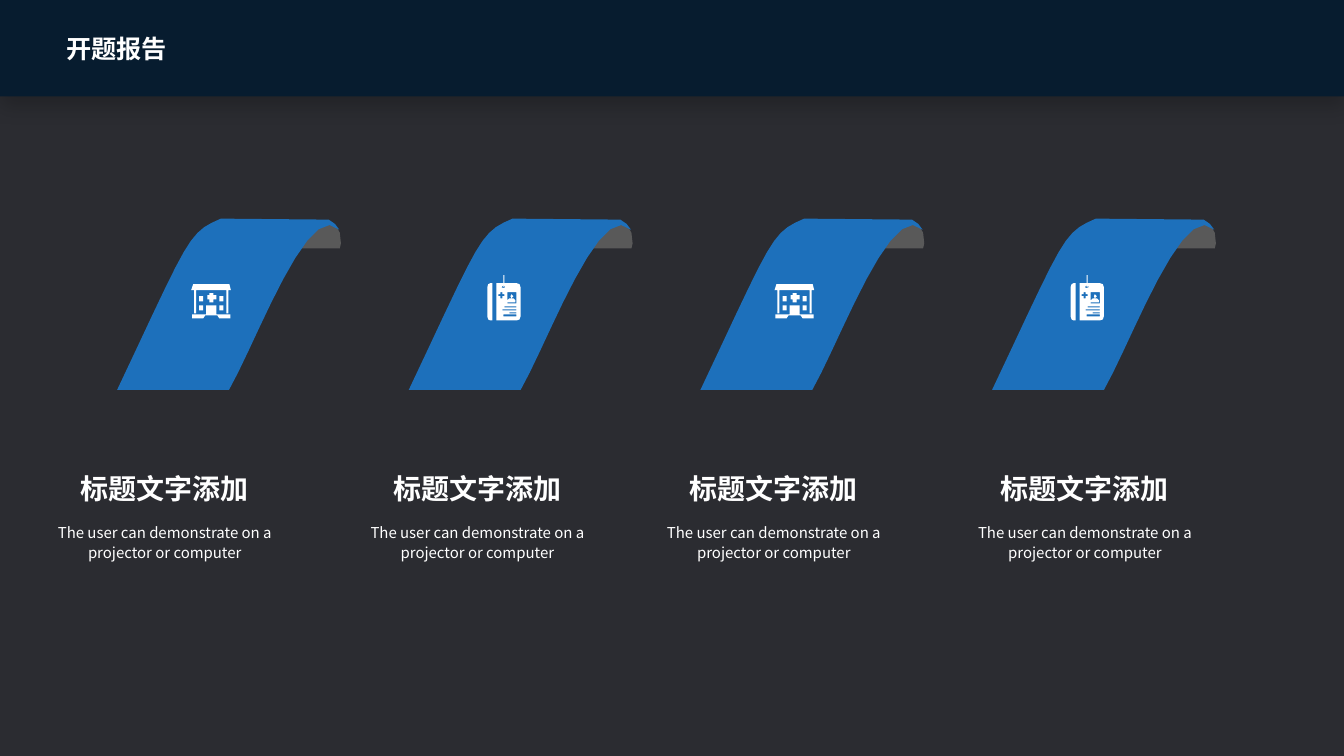
from dataclasses import dataclass
from math import dist

from lxml.etree import SubElement
from pptx import Presentation
from pptx.dml.color import RGBColor
from pptx.enum.shapes import MSO_SHAPE as Preset
from pptx.enum.text import MSO_AUTO_SIZE as AutoSize, PP_ALIGN as Align
from pptx.oxml.ns import qn
from pptx.util import Cm, Pt

Step = tuple[float, ...]  # two numbers: a straight line; six: a Bezier curve
Contour = list[Step]      # the first step is the starting point


@dataclass(frozen=True)
class Theme:
    font: str = "Noto Sans CJK SC"
    back: str = "2B2C31"
    header: str = "071C2F"
    ribbon: str = "1D70BB"
    fold: str = "595959"
    light: str = "FFFFFF"
    title: float = 18
    heading: float = 20
    body: float = 10.7


@dataclass(frozen=True)
class Icon:
    dx: float
    dy: float
    contours: list[Contour]


@dataclass(frozen=True)
class Column:
    text_left: float
    icon: Icon
    heading: str = "标题文字添加"
    body: str = "The user can demonstrate on a projector or computer"


@dataclass(frozen=True)
class Label:
    left: float
    top: float
    width: float
    height: float
    text: str
    size: float
    bold: bool = False
    wrap: bool = True
    align: Align = Align.CENTER
    spacing: float = 1.0


def box(left: float, top: float, right: float, bottom: float) -> Contour:
    return [(left, top), (right, top), (right, bottom), (left, bottom)]


def cross(xs: Step, ys: Step) -> Contour:
    """Outline a plus sign from its four grid columns and four grid rows."""
    (a, b, c, d), (e, f, g, h) = xs, ys
    return [(b, e), (c, e), (c, f), (d, f), (d, g), (c, g),
            (c, h), (b, h), (b, g), (a, g), (a, f), (b, f)]


THEME = Theme()
GRID = Cm(2.54) / 100  # one unit of the outlines below
RIBBON_LEFT, RIBBON_TOP, RIBBON_PITCH = 2.95, 5.51, 7.35

RIBBON: list[Contour] = [[(0, 170), (72, 18, 70, 14, 103, 0), (210, 1),
                          (216, 4, 217, 6, 220.5, 11), (190, -21, 139, 121, 111, 170)]]
FOLD: list[Contour] = [[(221, 29.5), (222, 29, 223, 22, 221, 14),
                        (211, -13, 183, 24.5, 179, 29.5)]]
HOSPITAL = Icon(73.5, 65, [
    [(37, 6), (37, 29), (35, 29), (35, 6), (5, 6), (5, 29),
     (3, 29), (3, 6), (0, 6), (2, 0), (38, 0), (39.5, 6)],
    cross((16, 18, 22, 25), (9, 11, 15, 18)),
    [(15, 21), (15, 30), (1, 30), (1, 34), (12, 34), (14, 31), (26, 31),
     (28, 34), (39, 34), (39, 30), (25, 30), (25, 21)],
    *(box(x, y, x + 4, y + 5) for x in (8, 28) for y in (12, 21)),
])
BADGE = Icon(78, 56, [
    [(33, 12), (32, 9), (29, 8), (17, 8), (17, 0), (16, 0), (16, 8),
     (9, 8), (9, 45), (29, 45), (32, 44), (33, 41)],
    [(5, 8), (3, 8), (1, 9), (0, 12), (0, 41), (1, 44), (3, 45), (5, 45)],
    [(18, 12), (16, 13), (14, 12), (16, 10), (16, 12), (17, 12), (17, 10)],
    cross((11, 13, 15, 17), (17, 19, 21, 23)),
    box(20, 17, 29, 28),
    [(24, 23), (26, 21), (24, 19), (23, 21)],
    [(22, 23), (20, 25), (20, 27), (28, 27), (28, 25), (26, 23)],
    box(17, 31, 29, 32), box(15, 34, 29, 35), box(22, 37, 29, 38), box(16, 39, 29, 41),
])
COLUMNS = [Column(1.19, HOSPITAL), Column(9.07, BADGE),
           Column(16.54, HOSPITAL), Column(24.38, BADGE)]


def paint(sp, color: str) -> None:
    sp.shadow.inherit = False
    sp.fill.solid()
    sp.fill.fore_color.rgb = RGBColor.from_string(color)
    sp.line.fill.background()


def flatten(contour: Contour) -> list[tuple[float, float]]:
    """Turn a contour into points in EMU, sampling long curves more finely."""
    points = [contour[0]]
    for step in contour[1:]:
        if len(step) == 2:
            points.append(step)
            continue
        x0, y0 = points[-1]
        x1, y1, x2, y2, x3, y3 = step
        count = 10 if dist((x0, y0), (x3, y3)) > 20 else 2
        for i in range(1, count + 1):
            t = i / count
            a, b, c, d = (1 - t) ** 3, 3 * t * (1 - t) ** 2, 3 * t * t * (1 - t), t ** 3
            points.append((a * x0 + b * x1 + c * x2 + d * x3,
                           a * y0 + b * y1 + c * y2 + d * y3))
    return [(x * GRID, y * GRID) for x, y in points]


def draw_outline(shapes, contours: list[Contour], x: float, y: float, color: str) -> None:
    first, *others = [flatten(contour) for contour in contours]
    builder = shapes.build_freeform(*first[0])
    builder.add_line_segments(first[1:])
    for points in others:
        builder.move_to(*points[0])
        builder.add_line_segments(points[1:])
    paint(builder.convert_to_shape(round(x), round(y)), color)


def draw_ribbon(shapes, left: float, icon: Icon) -> None:
    group = shapes.add_group_shape().shapes
    x, y = Cm(left), Cm(RIBBON_TOP)
    draw_outline(group, FOLD, x, y, THEME.fold)
    draw_outline(group, RIBBON, x, y, THEME.ribbon)
    draw_outline(group, icon.contours, x + icon.dx * GRID, y + icon.dy * GRID, THEME.light)


def draw_label(shapes, label: Label) -> None:
    sp = shapes.add_textbox(Cm(label.left), Cm(label.top), Cm(label.width), Cm(label.height))
    tf = sp.text_frame
    tf.word_wrap = label.wrap
    tf.auto_size = AutoSize.SHAPE_TO_FIT_TEXT
    p = tf.paragraphs[0]
    p.text = label.text
    p.alignment = label.align
    p.line_spacing = label.spacing
    p.font.name = THEME.font
    p.font.size = Pt(label.size)
    p.font.bold = label.bold
    p.font.color.rgb = RGBColor.from_string(THEME.light)
    SubElement(p._p.pPr.find(qn("a:defRPr")), qn("a:ea"), typeface=THEME.font)


def draw_header(shapes, width: int) -> None:
    sp = shapes.add_shape(Preset.RECTANGLE, 0, 0, width, Cm(2.43))
    paint(sp, THEME.header)
    effects = sp._element.spPr.find(qn("a:effectLst"))
    shadow = SubElement(effects, qn("a:outerShdw"), blurRad=str(Pt(14)), dist=str(Pt(6)),
                        dir="5400000", algn="t", rotWithShape="0")
    color = SubElement(shadow, qn("a:srgbClr"), val="000000")
    SubElement(color, qn("a:alpha"), val="20000")
    draw_label(shapes, Label(1.42, 0.71, 3.07, 1.02, "开题报告", THEME.title,
                             bold=True, wrap=False, align=Align.LEFT))


def main() -> None:
    prs = Presentation()
    prs.slide_width, prs.slide_height = Cm(33.87), Cm(19.05)
    s = prs.slides.add_slide(prs.slide_layouts[6])
    s.background.fill.solid()
    s.background.fill.fore_color.rgb = RGBColor.from_string(THEME.back)
    draw_header(s.shapes, prs.slide_width)
    for i, column in enumerate(COLUMNS):
        draw_ribbon(s.shapes, RIBBON_LEFT + i * RIBBON_PITCH, column.icon)
    for column in COLUMNS:
        group = s.shapes.add_group_shape().shapes
        draw_label(group, Label(column.text_left, 11.76, 5.92, 1.12, column.heading,
                                THEME.heading, bold=True))
        draw_label(group, Label(column.text_left - 0.3, 13, 6.53, 1.3, column.body,
                                THEME.body, spacing=1.14))
    prs.save("out.pptx")


if __name__ == "__main__":
    main()
